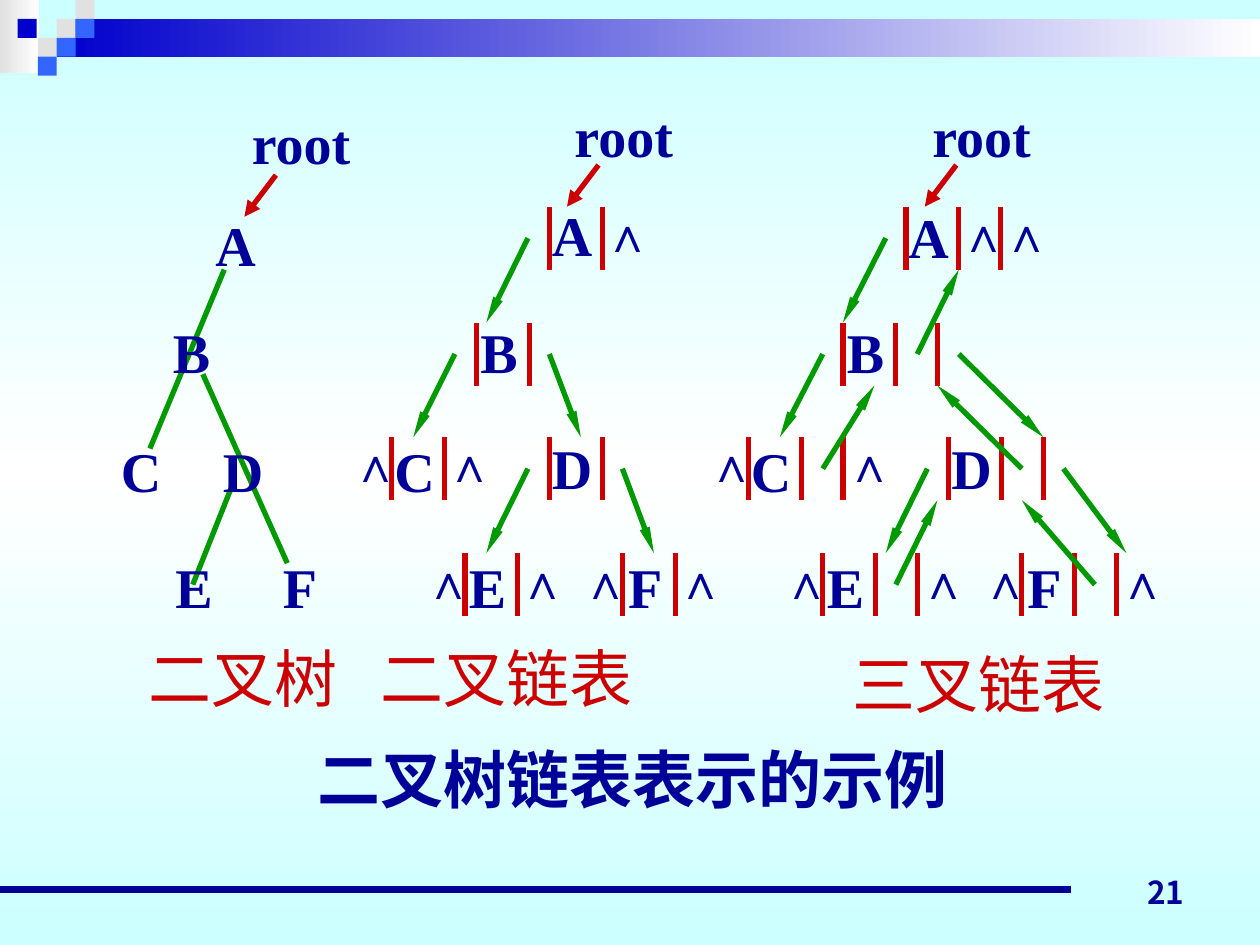
from copy import deepcopy
from typing import NamedTuple

from pptx import Presentation
from pptx.dml.color import RGBColor
from pptx.enum.shapes import MSO_CONNECTOR, MSO_SHAPE
from pptx.enum.text import MSO_ANCHOR as Anchor, MSO_AUTO_SIZE as AutoSize, PP_ALIGN as Align
from pptx.oxml.ns import qn
from pptx.oxml.xmlchemy import OxmlElement
from pptx.util import Inches, Pt

NAVY = RGBColor(0x00, 0x00, 0x99)
RED = RGBColor(0xCC, 0x00, 0x00)
GREEN = RGBColor(0x00, 0x99, 0x00)
BLUE = RGBColor(0x00, 0x00, 0xCC)
SKY = RGBColor(0x33, 0x66, 0xFF)
GREY = RGBColor(0xE1, 0xE1, 0xE1)
PALE = RGBColor(0xCC, 0xFF, 0xFF)
WHITE = RGBColor(0xFF, 0xFF, 0xFF)

SERIF = "Times New Roman"
HAN = "Noto Sans CJK SC"

# Linked-list geometry: row tops, and field bars measured from a node's first bar
ROW_TOPS = (1.64, 2.56, 3.47, 4.39)
BAR_HEIGHT = 0.5
BARS = (0, 0.42, 0.75)
NULL_TOPS = (1.56, 2.47, 3.39, 4.32)
NULL_OFFSETS = (-0.2, 0.55, 0.89)  # centre of each pointer field
DATA_OFFSET = 0.18


class Node(NamedTuple):
    letter: str
    x: float  # first bar
    row: int
    top: float  # top of the letter
    nulls: tuple[int, ...] = ()  # pointer fields that hold ∧


class Link(NamedTuple):
    start_x: float
    end_x: float
    row: int  # row of the parent
    upward: bool = False


class Root(NamedTuple):
    x: float
    top: float
    arrow_y: float


BINARY_NODES = (
    Node("A", 4.36, 0, 1.54, (1,)), Node("B", 3.78, 1, 2.47),
    Node("C", 3.11, 2, 3.42, (0, 1)), Node("D", 4.36, 2, 3.39),
    Node("E", 3.69, 3, 4.34, (0, 1)), Node("F", 4.94, 3, 4.34, (0, 1)),
)
TRIPLE_NODES = (
    Node("A", 7.19, 0, 1.56, (1, 2)), Node("B", 6.69, 1, 2.47),
    Node("C", 5.94, 2, 3.42, (0, 2)), Node("D", 7.53, 2, 3.39),
    Node("E", 6.53, 3, 4.34, (0, 2)), Node("F", 8.11, 3, 4.34, (0, 2)),
)
BINARY_LINKS = (
    Link(4.19, 3.86, 0), Link(3.61, 3.28, 1), Link(4.36, 4.61, 1),
    Link(4.19, 3.86, 2), Link(4.94, 5.19, 2),
)
TRIPLE_LINKS = (
    Link(7.03, 6.69, 0), Link(6.53, 6.19, 1), Link(7.61, 8.28, 1),
    Link(7.36, 7.03, 2), Link(8.44, 8.94, 2),
    Link(7.61, 7.28, 0, True), Link(6.94, 6.53, 1, True), Link(7.44, 8.11, 1, True),
    Link(7.44, 7.11, 2, True), Link(8.11, 8.69, 2, True),
)
TREE_EDGES = (
    (1.86, 3.81, 1.53, 4.64), (1.61, 2.97, 2.28, 4.47), (1.78, 2.14, 1.19, 3.56),
)
TREE_LETTERS = (
    ("A", 1.87, 1.62), ("B", 1.52, 2.47), ("C", 1.12, 3.42),
    ("D", 1.93, 3.42), ("E", 1.54, 4.34), ("F", 2.38, 4.34),
)
ROOTS = (Root(2.39, 0.81, 1.39), Root(4.95, 0.76, 1.31), Root(7.79, 0.76, 1.31))

prs = Presentation()
prs.slide_width, prs.slide_height = Inches(10), Inches(7.5)
slide = prs.slides.add_slide(prs.slide_layouts[6])


def paint_gradient(fill, element, colors: tuple[RGBColor, ...], angle: float) -> None:
    fill.gradient()
    fill.gradient_angle = angle
    stops = element.find(".//" + qn("a:gsLst"))
    for _ in colors[2:]:
        stops.append(deepcopy(stops[-1]))
    for i, (stop, color) in enumerate(zip(fill.gradient_stops, colors)):
        stop.color.rgb = color
        stop.position = i / (len(colors) - 1)


def add_block(x: float, y: float, w: float, h: float, *colors: RGBColor) -> None:
    block = slide.shapes.add_shape(
        MSO_SHAPE.RECTANGLE, Inches(x), Inches(y), Inches(w), Inches(h))
    block.shadow.inherit = False
    block.line.fill.background()
    if len(colors) > 1:
        paint_gradient(block.fill, block.element, colors, 0)
    else:
        block.fill.solid()
        block.fill.fore_color.rgb = colors[0]


def add_line(x1: float, y1: float, x2: float, y2: float, color: RGBColor,
             width: float = 3, arrow: str = "", slim: bool = False) -> None:
    line = slide.shapes.add_connector(
        MSO_CONNECTOR.STRAIGHT, Inches(x1), Inches(y1), Inches(x2), Inches(y2))
    line.line.color.rgb = color
    line.line.width = Pt(width)
    if arrow:
        end = OxmlElement(arrow)
        end.set("type", "triangle")
        if slim:
            end.set("w", "sm")
            end.set("len", "lg")
        line.line._get_or_add_ln().append(end)
    line.element.spPr.append(OxmlElement("a:effectLst"))


def add_text(text: str, x: float, y: float, w: float, h: float, *, size: float = 32,
             font: str = SERIF, color: RGBColor = NAVY, bold: bool = True,
             align: Align = Align.LEFT, anchor: Anchor = Anchor.MIDDLE,
             wrap: bool = True, grow: bool = True, han: bool = False,
             tab: float = 0) -> None:
    frame = slide.shapes.add_textbox(Inches(x), Inches(y), Inches(w), Inches(h)).text_frame
    frame.word_wrap = wrap
    frame.auto_size = AutoSize.SHAPE_TO_FIT_TEXT if grow else AutoSize.NONE
    frame.vertical_anchor = anchor
    paragraph = frame.paragraphs[0]
    paragraph.alignment = align
    if tab:
        tabs = OxmlElement("a:tabLst")
        stop = OxmlElement("a:tab")
        stop.set("pos", str(Inches(tab)))
        stop.set("algn", "l")
        tabs.append(stop)
        paragraph._p.get_or_add_pPr().append(tabs)
    run = paragraph.add_run()
    run.text = text
    run.font.name, run.font.size, run.font.bold = font, Pt(size), bold
    run.font.color.rgb = color
    if han:
        east_asian = OxmlElement("a:ea")
        east_asian.set("typeface", HAN)
        run.font._element.append(east_asian)


def add_label(text: str, center: float, top: float, width: float = 0.52,
              height: float = 0.63, size: float = 32) -> None:
    add_text(text, center - width / 2, top, width, height, size=size,
             align=Align.CENTER, wrap=False)


def add_link(link: Link) -> None:
    parent, child = ROW_TOPS[link.row], ROW_TOPS[link.row + 1]
    half = BAR_HEIGHT / 2
    if link.upward:
        add_line(link.start_x, parent + BAR_HEIGHT, link.end_x, child + half,
                 GREEN, arrow="a:headEnd", slim=True)
    else:
        add_line(link.start_x, parent + half, link.end_x, child,
                 GREEN, arrow="a:tailEnd", slim=True)


def add_linked_list(nodes: tuple[Node, ...], links: tuple[Link, ...], bar_count: int) -> None:
    for node in nodes:
        top = ROW_TOPS[node.row]
        for offset in BARS[:bar_count]:
            add_line(node.x + offset, top, node.x + offset, top + BAR_HEIGHT, RED)
    for link in links:
        add_link(link)
    for node in nodes:
        for field in node.nulls:
            add_label("∧", node.x + NULL_OFFSETS[field], NULL_TOPS[node.row], 0.44, 0.57, 28)
        add_label(node.letter, node.x + DATA_OFFSET, node.top)


# Background and header decoration
paint_gradient(slide.background.fill, slide.element, (PALE, WHITE, PALE), 90)
add_block(0, 0, 0.31, 0.58, GREY, WHITE)
add_block(0.45, 0.15, 9.55, 0.3, BLUE, WHITE)
for tile_x, tile_y, tile_color in (
        (0.45, 0.15, GREY), (0.6, 0, GREY), (0.6, 0.15, SKY), (0.3, 0.3, GREY),
        (0.14, 0.15, BLUE), (0.45, 0.3, SKY), (0.3, 0.45, SKY)):
    add_block(tile_x, tile_y, 0.15, 0.15, tile_color)

# Footer
add_line(0, 7.06, 8.5, 7.06, NAVY, 4.5)
add_text("21", 7.17, 6.78, 2.33, 0.5, size=18, font="Noto Sans CJK JP",
         align=Align.RIGHT, anchor=Anchor.BOTTOM, grow=False)

# Plain binary tree
for edge in TREE_EDGES:
    add_line(*edge, GREEN)
for letter, center, letter_top in TREE_LETTERS:
    add_label(letter, center, letter_top)

# Linked lists with two and three pointers
add_linked_list(BINARY_NODES, BINARY_LINKS, 2)
add_linked_list(TRIPLE_NODES, TRIPLE_LINKS, 3)

# Root pointers
for root in ROOTS:
    add_line(root.x - 0.2, root.arrow_y, root.x - 0.45, root.arrow_y + 0.33,
             RED, arrow="a:tailEnd")
    add_label("root", root.x, root.top, 0.99)

# Captions
add_text("二叉树\t二叉链表", 1.08, 5.02, 4.75, 0.71, size=36, font=HAN, color=RED,
         bold=False, han=True, tab=1.84)
add_text("三叉链表", 6.67, 5.07, 2.36, 0.71, size=36, font=HAN, color=RED,
         bold=False, han=True)
add_text("二叉树链表表示的示例", 2.42, 5.83, 5.33, 0.7, size=36,
         anchor=Anchor.TOP, han=True)

prs.save("out.pptx")
